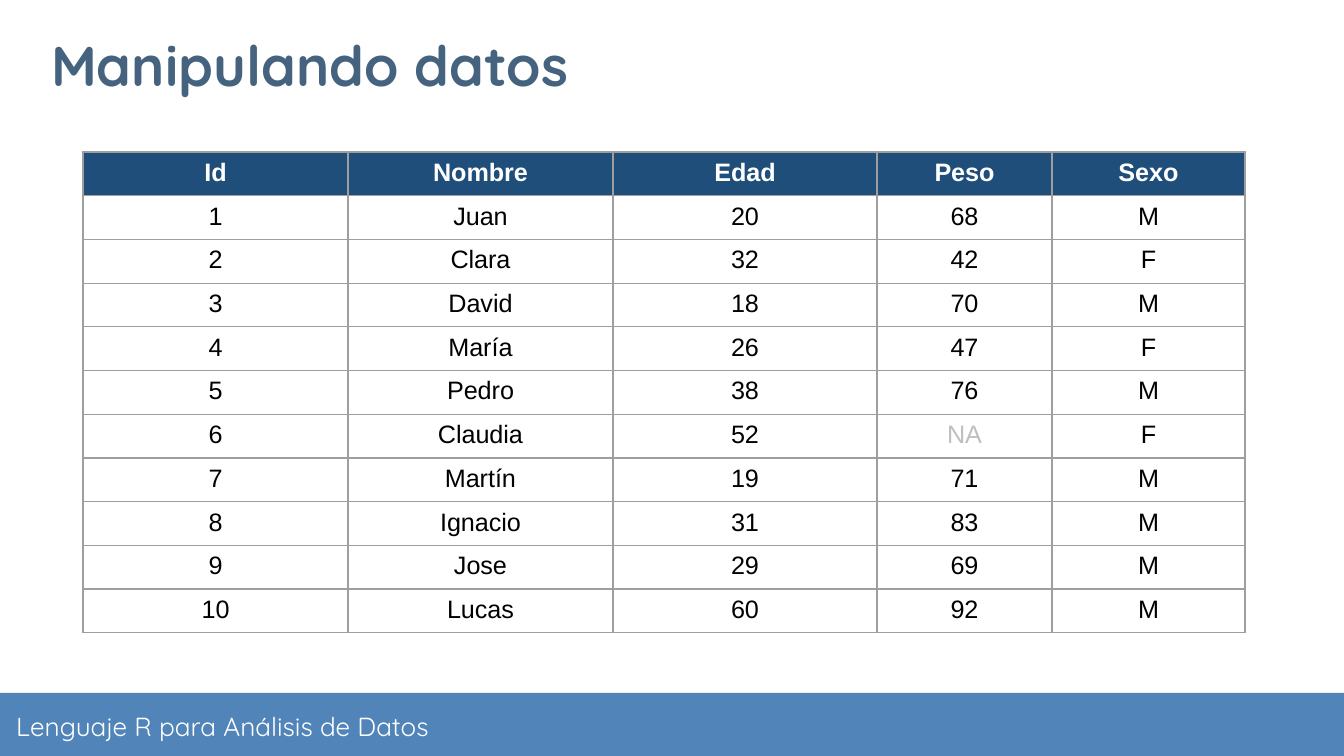
import pptx
import pptx.util
import pptx.dml.color
import pptx.enum.shapes
import pptx.enum.text
import pptx.oxml
import pptx.oxml.ns

# Content
TITLE = "Manipulando datos"
FOOT = "Lenguaje R para Análisis de Datos"
HEADS = ("Id", "Nombre", "Edad", "Peso", "Sexo")
PEOPLE = [
    ("Juan", 20, 68, "M"),
    ("Clara", 32, 42, "F"),
    ("David", 18, 70, "M"),
    ("María", 26, 47, "F"),
    ("Pedro", 38, 76, "M"),
    ("Claudia", 52, "NA", "F"),
    ("Martín", 19, 71, "M"),
    ("Ignacio", 31, 83, "M"),
    ("Jose", 29, 69, "M"),
    ("Lucas", 60, 92, "M"),
]
ROWS = [HEADS] + [(i, *who) for i, who in enumerate(PEOPLE, 1)]

# Layout in px and formats
WIDE, HIGH = 1344, 756
BAR = (0, 693, WIDE, 63)
FOOT_BOX = (3, 695, 668, 63)
TITLE_BOX = (38, 30, 886, 69)
LEFT, TOP, ROW = 83, 152, 41
COLS = (265, 265, 264, 175, 193)
GRID = "9E9E9E"
TITLE_FONT = {"name": "Quicksand", "size": 30, "bold": True, "color": "45637F"}
FOOT_FONT = {"name": "Quicksand", "size": 14, "color": "FFFFFF"}
BODY_FONT = {"name": "Arial", "size": 13.5, "bold": False, "color": "000000"}
HEAD_FONT = {**BODY_FONT, "bold": True, "color": "FFFFFF"}
NA_FONT = {**BODY_FONT, "color": "BFBFBF"}


def px(n):
    return pptx.util.Emu(round(n * 914400 / 134.4))


def rgb(code):
    return pptx.dml.color.RGBColor.from_string(code)


def paint(part, code):
    part.fill.solid()
    part.fill.fore_color.rgb = rgb(code)


def write(frame, text, form):
    run = frame.paragraphs[0].add_run()
    run.text = text
    for key, val in form.items():
        if key == "color":
            run.font.color.rgb = rgb(val)
        else:
            setattr(run.font, key, pptx.util.Pt(val) if key == "size" else val)


def label(slide, box, text, form):
    frame = slide.shapes.add_textbox(*map(px, box)).text_frame
    edge = pptx.util.Inches(0.1)
    look = {"word_wrap": True,
            "vertical_anchor": pptx.enum.text.MSO_ANCHOR.MIDDLE}
    look.update({f"margin_{side}": edge
                 for side in ("left", "top", "right", "bottom")})
    for key, val in look.items():
        setattr(frame, key, val)
    write(frame, text, form)


def border(cell):
    props = cell._tc.get_or_add_tcPr()
    space = pptx.oxml.ns.nsdecls("a")
    for i, side in enumerate(("lnL", "lnR", "lnT", "lnB")):
        props.insert(i, pptx.oxml.parse_xml(
            f'<a:{side} {space} w="{pptx.util.Pt(0.75)}"><a:solidFill>'
            f'<a:srgbClr val="{GRID}"/></a:solidFill></a:{side}>'))


deck = pptx.Presentation()
deck.slide_width, deck.slide_height = px(WIDE), px(HIGH)
slide = deck.slides.add_slide(deck.slide_layouts[6])

# Footer
bar = slide.shapes.add_shape(
    pptx.enum.shapes.MSO_SHAPE.RECTANGLE, *map(px, BAR))
bar.shadow.inherit = False
bar.line.fill.background()
paint(bar, "5184B9")
label(slide, FOOT_BOX, FOOT, FOOT_FONT)

# Table of people
table = slide.shapes.add_table(
    len(ROWS), len(COLS), px(LEFT), px(TOP),
    px(sum(COLS)), px(ROW * len(ROWS))).table
for col, wide in zip(table.columns, COLS):
    col.width = px(wide)
for r, row in enumerate(ROWS):
    table.rows[r].height = px(ROW)
    for c, val in enumerate(row):
        cell = table.cell(r, c)
        paint(cell, "FFFFFF" if r else "1E4E79")
        border(cell)
        form = HEAD_FONT if r == 0 else NA_FONT if val == "NA" else BODY_FONT
        write(cell.text_frame, str(val), form)
        cell.text_frame.paragraphs[0].alignment = pptx.enum.text.PP_ALIGN.CENTER

# Title
label(slide, TITLE_BOX, TITLE, TITLE_FONT)

deck.save("out.pptx")
